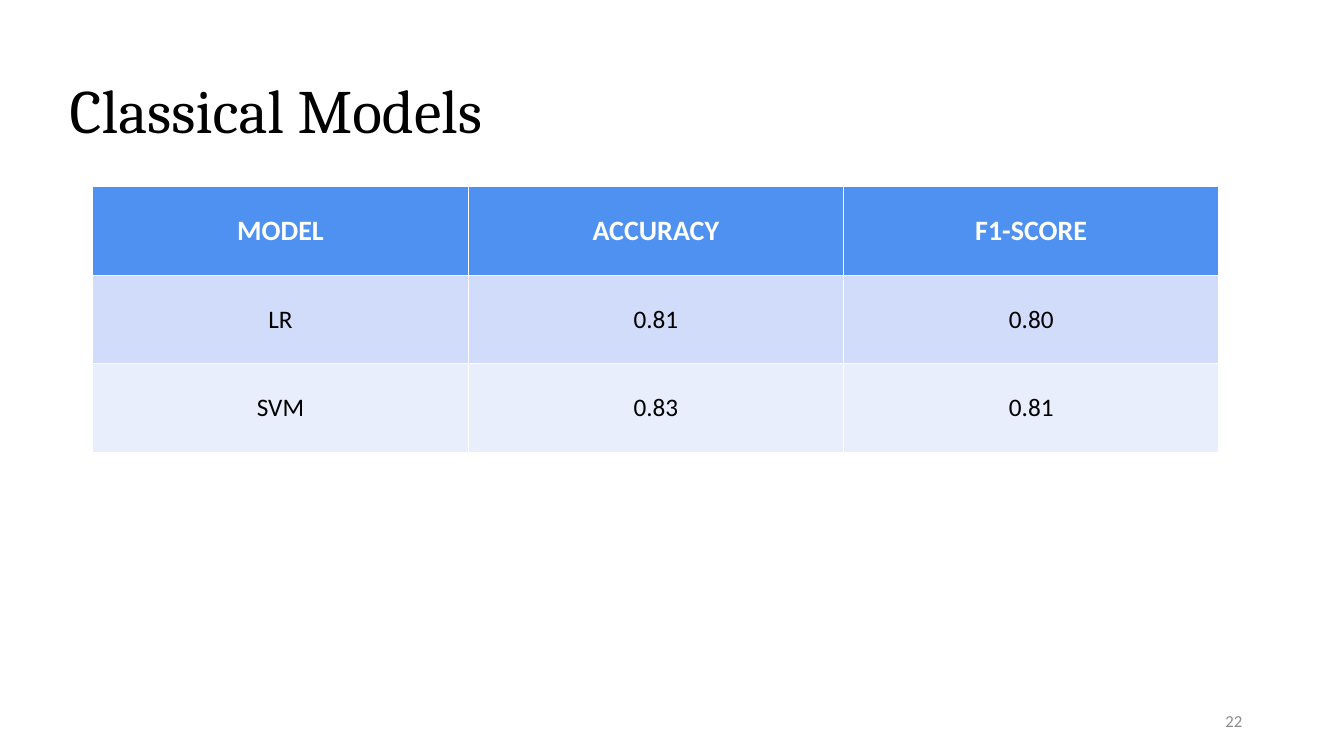
from dataclasses import dataclass

from pptx import Presentation
from pptx.dml.color import RGBColor
from pptx.enum.text import MSO_ANCHOR, PP_ALIGN
from pptx.text.text import _Paragraph
from pptx.util import Inches, Pt

LEFT, CENTER, RIGHT = PP_ALIGN.LEFT, PP_ALIGN.CENTER, PP_ALIGN.RIGHT
MIDDLE = MSO_ANCHOR.MIDDLE
TITLE_ONLY = 5

COLORS = {
    "black": "000000",
    "white": "FFFFFF",
    "gray": "8C8C8C",
    "head": "4E91F0",
    "dark": "D0DCF9",
    "light": "E9EEFC",
}


@dataclass
class Style:
    size: int
    color: str
    align: PP_ALIGN
    font: str = "Calibri"
    bold: bool = False


@dataclass
class Row:
    texts: tuple[str, ...]
    fill: str
    style: Style


TITLE = Style(44, "black", LEFT, "Cambria")
NUMBER = Style(12, "gray", RIGHT)
HEAD = Style(20, "white", CENTER, bold=True)
BODY = Style(18, "black", CENTER)

ROWS = [
    Row(("MODEL", "ACCURACY", "F1-SCORE"), "head", HEAD),
    Row(("LR", "0.81", "0.80"), "dark", BODY),
    Row(("SVM", "0.83", "0.81"), "light", BODY),
]


def color(name: str) -> RGBColor:
    return RGBColor.from_string(COLORS[name])


def write(para: _Paragraph, text: str, style: Style) -> None:
    para.alignment = style.align
    run = para.add_run()
    run.text = text
    run.font.name = style.font
    run.font.size = Pt(style.size)
    run.font.bold = style.bold
    run.font.color.rgb = color(style.color)


def add_title(slide) -> None:
    title = slide.shapes.title
    title.left, title.top = Inches(0.59), Inches(0.4)
    title.width, title.height = Inches(11.5), Inches(1.45)
    frame = title.text_frame
    frame.vertical_anchor = MIDDLE
    para = frame.paragraphs[0]
    para.line_spacing = 0.9
    write(para, "Classical Models", TITLE)


def add_scores(slide) -> None:
    """Add the score table; its default style draws the white rules."""
    table = slide.shapes.add_table(
        len(ROWS), len(ROWS[0].texts),
        Inches(0.92), Inches(1.85), Inches(11.17), Inches(2.64),
    ).table
    for line, row in zip(table.rows, ROWS):
        for cell, text in zip(line.cells, row.texts):
            cell.fill.solid()
            cell.fill.fore_color.rgb = color(row.fill)
            cell.vertical_anchor = MIDDLE
            write(cell.text_frame.paragraphs[0], text, row.style)


def add_number(slide) -> None:
    box = slide.shapes.add_textbox(
        Inches(9.42), Inches(6.95), Inches(3), Inches(0.4)
    )
    frame = box.text_frame
    frame.word_wrap = True
    frame.vertical_anchor = MIDDLE
    write(frame.paragraphs[0], "22", NUMBER)


def main() -> None:
    deck = Presentation()
    deck.slide_width, deck.slide_height = Inches(13.33), Inches(7.5)
    slide = deck.slides.add_slide(deck.slide_layouts[TITLE_ONLY])
    add_title(slide)
    add_number(slide)
    add_scores(slide)
    deck.save("out.pptx")


if __name__ == "__main__":
    main()
